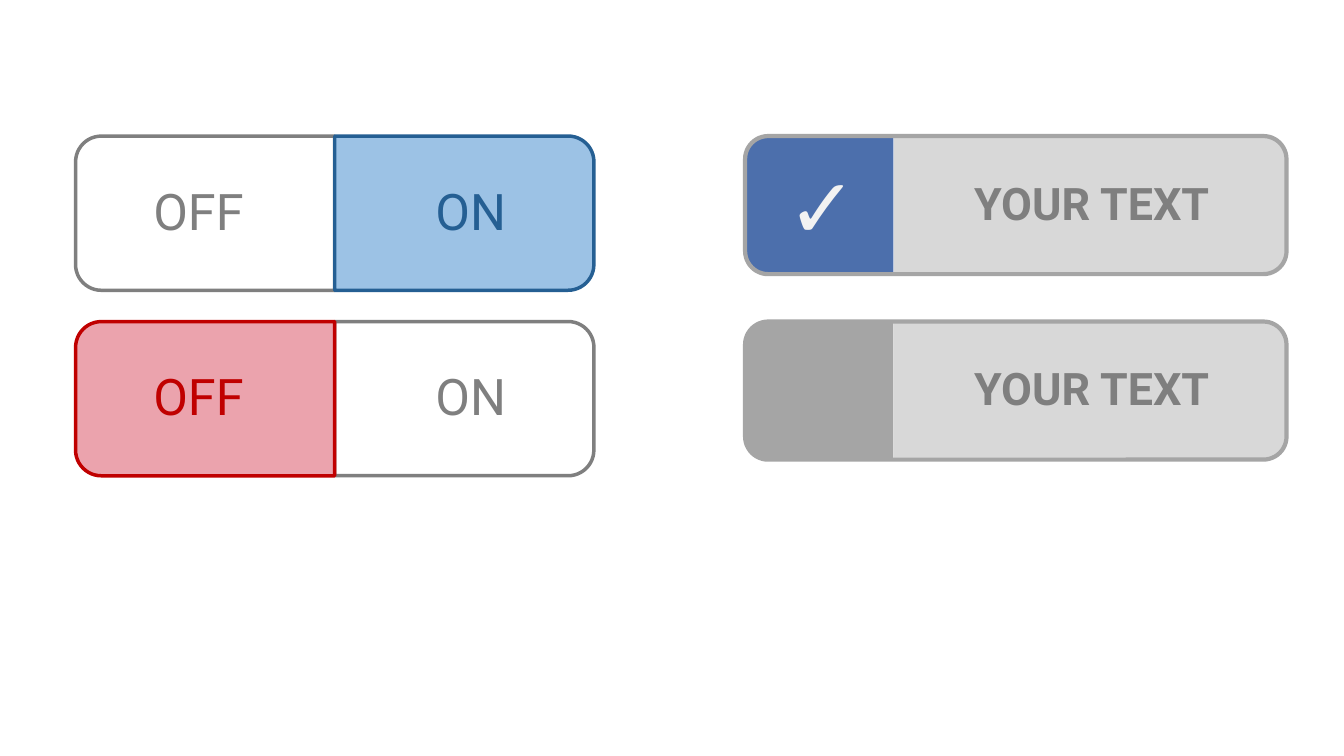
from dataclasses import dataclass

from pptx import Presentation, util as u
from pptx.dml.color import RGBColor
from pptx.enum import shapes, text

PX = 9144
FONT = "Roboto"
ROW_TOP = 135
ROW_PITCH = 184
CORNER = 0.167
COLORS = {
    "white": "FFFFFF",
    "off_white": "F2F2F2",
    "gray": "7F7F7F",
    "mid_gray": "A5A5A5",
    "light_gray": "D8D8D8",
    "light_blue": "9CC2E5",
    "dark_blue": "255F93",
    "check_blue": "4C6FAC",
    "pink": "EBA3AD",
    "red": "C00000",
}


@dataclass(frozen=True)
class Box:
    left: int
    top: int
    width: int
    height: int

    def emu(self) -> list[u.Emu]:
        return [u.Emu(v * PX) for v in (self.left, self.top, self.width, self.height)]


@dataclass(frozen=True)
class Label:
    text: str
    left: int
    dy: int
    width: int
    height: int
    size: int
    bold: bool
    insets: tuple[int, int, int, int]


@dataclass(frozen=True)
class Side:
    left: int
    width: int
    height: int
    rotation: int


@dataclass(frozen=True)
class ToggleHalf:
    row: int
    side: Side
    label: Label
    fill: str
    ink: str


@dataclass(frozen=True)
class CheckRow:
    row: int
    box_fill: str
    checked: bool


OFF_SIDE = Side(75, 257, 153, 270)
ON_SIDE = Side(332, 257, 153, 90)
CHECK_SIDE = Side(739, 147, 137, 270)
TEXT_SIDE = Side(887, 390, 137, 90)

OFF = Label("OFF", 82, 7, 250, 138, 36, False, (10, 0, 30, 5))
ON = Label("ON", 332, 7, 250, 138, 36, False, (20, 0, 0, 5))
CAPTION = Label("YOUR TEXT", 886, 6, 384, 124, 32, True, (10, 0, 0, 5))
CHECK = Label("✓", 746, 6, 140, 124, 60, True, (10, 5, 10, 5))

TOGGLES = [
    ToggleHalf(0, OFF_SIDE, OFF, "white", "gray"),
    ToggleHalf(1, ON_SIDE, ON, "white", "gray"),
    ToggleHalf(0, ON_SIDE, ON, "light_blue", "dark_blue"),
    ToggleHalf(1, OFF_SIDE, OFF, "pink", "red"),
]
CHECK_ROWS = [CheckRow(0, "check_blue", True), CheckRow(1, "mid_gray", False)]


def rgb(name: str) -> RGBColor:
    return RGBColor.from_string(COLORS[name])


def row_top(row: int) -> int:
    return ROW_TOP + row * ROW_PITCH


def add_panel(slide, kind, box: Box, fill: str | None,
              line: str | None = None, weight: float = 0):
    sp = slide.shapes.add_shape(kind, *box.emu())
    sp.shadow.inherit = False
    sp.adjustments[0] = CORNER
    if fill:
        sp.fill.solid()
        sp.fill.fore_color.rgb = rgb(fill)
    else:
        sp.fill.background()
    if line:
        sp.line.color.rgb = rgb(line)
        sp.line.width = u.Pt(weight)
    else:
        sp.line.fill.background()
    return sp


def add_side(slide, side: Side, row: int, fill: str,
             line: str | None = None, weight: float = 0) -> None:
    shift = (side.width - side.height) // 2
    box = Box(side.left + shift, row_top(row) - shift, side.height, side.width)
    sp = add_panel(slide, shapes.MSO_SHAPE.ROUND_2_SAME_RECTANGLE, box, fill, line, weight)
    sp.adjustments[1] = 0
    sp.rotation = side.rotation


def add_label(slide, label: Label, row: int, color: str) -> None:
    box = Box(label.left, row_top(row) + label.dy, label.width, label.height)
    tf = slide.shapes.add_textbox(*box.emu()).text_frame
    tf.word_wrap = True
    tf.vertical_anchor = text.MSO_ANCHOR.MIDDLE
    tf.margin_left, tf.margin_top, tf.margin_right, tf.margin_bottom = (
        u.Emu(v * PX) for v in label.insets)
    p = tf.paragraphs[0]
    p.alignment = text.PP_ALIGN.CENTER
    r = p.add_run()
    r.text = label.text
    r.font.name = FONT
    r.font.size = u.Pt(label.size)
    r.font.bold = label.bold
    r.font.color.rgb = rgb(color)


def add_toggle_half(slide, half: ToggleHalf) -> None:
    add_side(slide, half.side, half.row, half.fill, half.ink, 2.5)
    add_label(slide, half.label, half.row, half.ink)


def add_check_row(slide, item: CheckRow) -> None:
    add_side(slide, TEXT_SIDE, item.row, "light_gray")
    add_label(slide, CAPTION, item.row, "gray")
    add_side(slide, CHECK_SIDE, item.row, item.box_fill)
    if item.checked:
        add_label(slide, CHECK, item.row, "off_white")
    frame = Box(739, row_top(item.row), 537, 137)
    add_panel(slide, shapes.MSO_SHAPE.ROUNDED_RECTANGLE, frame, None, "mid_gray", 3)


def main() -> None:
    prs = Presentation()
    prs.slide_width, prs.slide_height = u.Emu(1333 * PX), u.Emu(750 * PX)
    s = prs.slides.add_slide(prs.slide_layouts[6])
    for half in TOGGLES:
        add_toggle_half(s, half)
    for item in CHECK_ROWS:
        add_check_row(s, item)
    prs.save("out.pptx")


if __name__ == "__main__":
    main()
